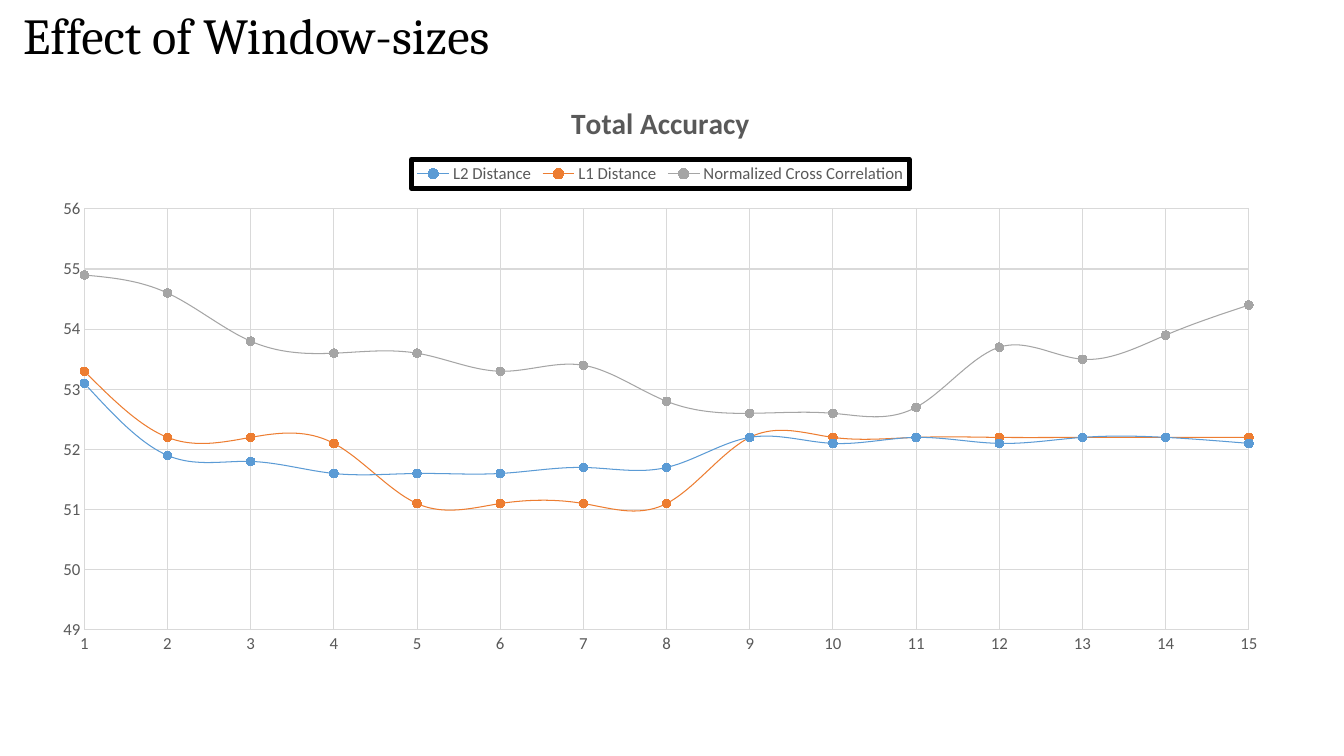
from dataclasses import dataclass

from lxml.etree import SubElement
from pptx import Presentation
from pptx.chart.data import XyChartData
from pptx.dml.color import RGBColor
from pptx.enum.chart import XL_CHART_TYPE, XL_LEGEND_POSITION, XL_MARKER_STYLE, XL_TICK_MARK
from pptx.enum.text import MSO_ANCHOR, MSO_AUTO_SIZE, PP_ALIGN
from pptx.oxml.ns import qn
from pptx.util import Inches, Pt


@dataclass(frozen=True)
class Theme:
    title_font: str = "Cambria"
    chart_font: str = "Calibri"
    title_size: int = 36
    chart_title_size: int = 21
    label_size: int = 12
    black: str = "000000"
    grey_text: str = "595959"
    grid: str = "D9D9D9"
    blue: str = "5B9BD5"
    orange: str = "ED7D31"
    grey: str = "A5A5A5"


THEME = Theme()

ACCURACY = [
    ("L2 Distance", THEME.blue,
     [53.1, 51.9, 51.8, 51.6, 51.6, 51.6, 51.7, 51.7, 52.2, 52.1, 52.2, 52.1, 52.2, 52.2, 52.1]),
    ("L1 Distance", THEME.orange,
     [53.3, 52.2, 52.2, 52.1, 51.1, 51.1, 51.1, 51.1, 52.2, 52.2, 52.2, 52.2, 52.2, 52.2, 52.2]),
    ("Normalized Cross Correlation", THEME.grey,
     [54.9, 54.6, 53.8, 53.6, 53.6, 53.3, 53.4, 52.8, 52.6, 52.6, 52.7, 53.7, 53.5, 53.9, 54.4]),
]


def style_font(font, name, size, color, bold=False):
    font.name = name
    font.size = Pt(size)
    font.bold = bold
    font.color.rgb = RGBColor.from_string(color)


def style_line(line, color, width):
    line.color.rgb = RGBColor.from_string(color)
    line.width = Pt(width)


def add_title(slide, text):
    title = slide.shapes.title
    title.left, title.top = Inches(0.13), Inches(0.05)
    title.width, title.height = Inches(6.08), Inches(0.65)
    frame = title.text_frame
    frame.text = text
    frame.vertical_anchor = MSO_ANCHOR.MIDDLE
    frame.auto_size = MSO_AUTO_SIZE.SHAPE_TO_FIT_TEXT
    paragraph = frame.paragraphs[0]
    paragraph.alignment = PP_ALIGN.LEFT
    paragraph.line_spacing = 0.9
    style_font(paragraph.runs[0].font, THEME.title_font, THEME.title_size, THEME.black)


def set_layout(element, index, x, y, w, h, inner=False):
    """Place a chart part by fractions of the chart area."""
    for old in element.findall(qn("c:layout")):
        element.remove(old)
    layout = SubElement(element, qn("c:layout"))
    element.insert(index, layout)
    manual = SubElement(layout, qn("c:manualLayout"))
    settings = [("layoutTarget", "inner")] if inner else []
    settings += [("xMode", "edge"), ("yMode", "edge"), ("x", x), ("y", y), ("w", w), ("h", h)]
    for tag, value in settings:
        SubElement(manual, qn(f"c:{tag}")).set("val", str(value))


def style_axis(axis, minimum, maximum):
    axis.minimum_scale, axis.maximum_scale, axis.major_unit = minimum, maximum, 1
    axis.major_tick_mark = axis.minor_tick_mark = XL_TICK_MARK.NONE
    axis.has_major_gridlines = True
    style_line(axis.major_gridlines.format.line, THEME.grid, 0.75)
    axis.format.line.fill.background()
    axis.tick_labels.number_format = "General"
    axis.tick_labels.number_format_is_linked = False
    style_font(axis.tick_labels.font, THEME.chart_font, THEME.label_size, THEME.grey_text)


def smooth_curve(series):
    """Turn on smoothing, which scatter series offer only in XML."""
    element = series._element
    smooth = element.find(qn("c:smooth"))
    if smooth is None:
        smooth = SubElement(element, qn("c:smooth"))
    smooth.set("val", "1")


def style_series(series, color):
    smooth_curve(series)
    style_line(series.format.line, color, 0.75)
    marker = series.marker
    marker.style = XL_MARKER_STYLE.CIRCLE
    marker.size = 6
    marker.format.fill.solid()
    marker.format.fill.fore_color.rgb = RGBColor.from_string(color)
    style_line(marker.format.line, color, 0.75)


def style_legend(chart):
    chart.has_legend = True
    legend = chart.legend
    legend.position = XL_LEGEND_POSITION.TOP
    legend.include_in_layout = False
    style_font(legend.font, THEME.chart_font, THEME.label_size, THEME.grey_text)
    element = legend._element
    set_layout(element, 1, 0.3, 0.134, 0.4, 0.05)
    properties = element.makeelement(qn("c:spPr"), {})
    element.find(qn("c:txPr")).addprevious(properties)
    border = SubElement(properties, qn("a:ln"), w=str(Pt(3.5)))
    fill = SubElement(border, qn("a:solidFill"))
    SubElement(fill, qn("a:srgbClr"), val=THEME.black)


def add_accuracy_chart(slide):
    data = XyChartData()
    for name, _, values in ACCURACY:
        series = data.add_series(name)
        for window_size, value in enumerate(values, start=1):
            series.add_data_point(window_size, value)
    chart = slide.shapes.add_chart(
        XL_CHART_TYPE.XY_SCATTER_SMOOTH,
        Inches(0.38), Inches(0.8), Inches(12.34), Inches(5.81), data).chart
    style_font(chart.font, THEME.chart_font, 10, THEME.black)

    chart.has_title = True
    frame = chart.chart_title.text_frame
    frame.text = "Total Accuracy"
    style_font(frame.paragraphs[0].runs[0].font, THEME.chart_font,
               THEME.chart_title_size, THEME.grey_text, bold=True)
    chart.chart_title.include_in_layout = False

    style_axis(chart.category_axis, 1, 15)
    style_axis(chart.value_axis, 49, 56)
    chart.plots[0].vary_by_categories = False
    for series, (_, color, _) in zip(chart.plots[0].series, ACCURACY):
        style_series(series, color)
    style_legend(chart)
    plot_area = chart._chartSpace.find(f".//{qn('c:plotArea')}")
    set_layout(plot_area, 0, 0.037, 0.219, 0.936, 0.719, inner=True)


def main():
    presentation = Presentation()
    presentation.slide_width, presentation.slide_height = Inches(13.33), Inches(7.5)
    slide = presentation.slides.add_slide(presentation.slide_layouts.get_by_name("Title Only"))
    add_title(slide, "Effect of Window-sizes")
    add_accuracy_chart(slide)
    presentation.save("out.pptx")


if __name__ == "__main__":
    main()
